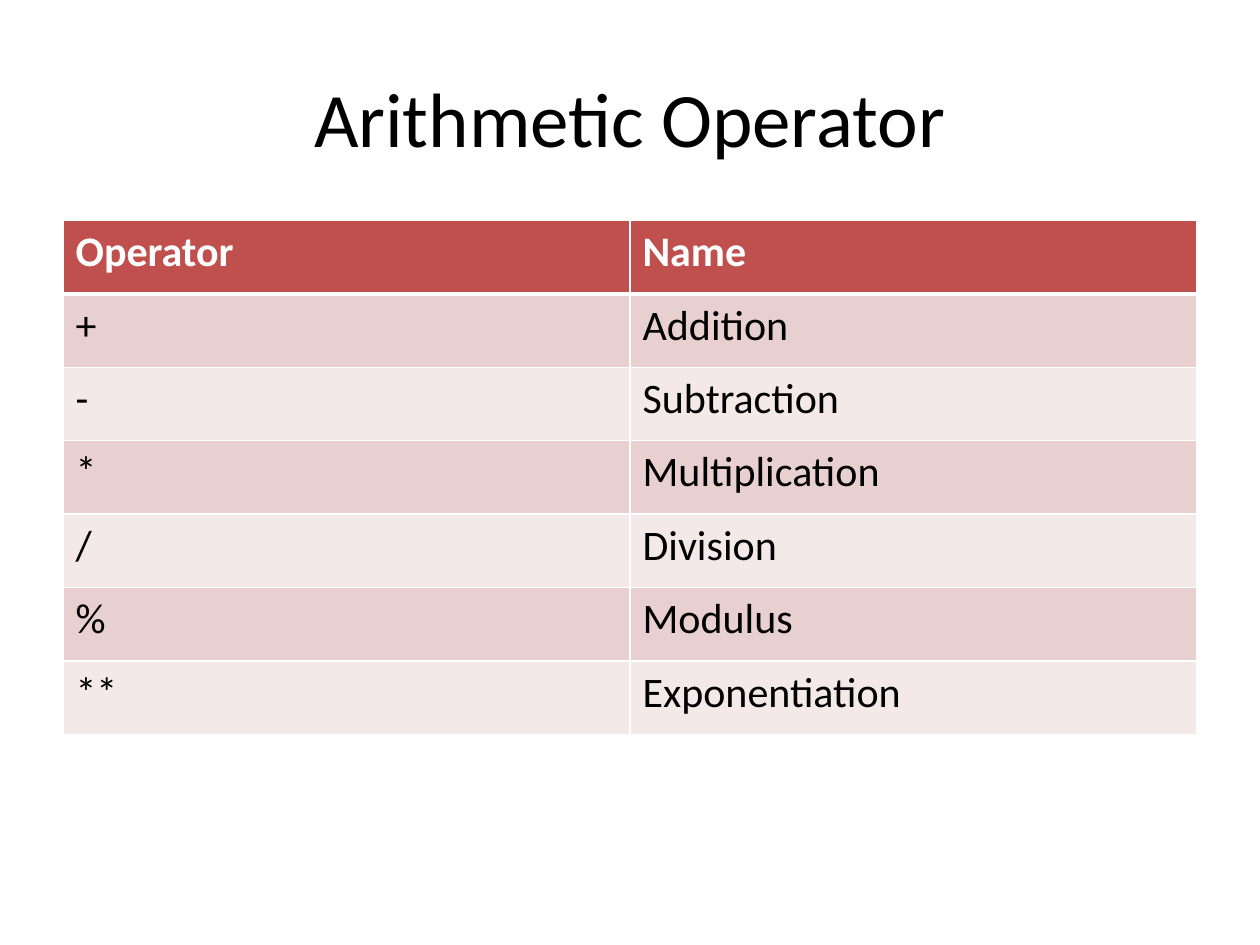
from dataclasses import dataclass

from lxml.etree import SubElement
from pptx import Presentation
from pptx.dml.color import RGBColor
from pptx.enum.text import MSO_ANCHOR, PP_ALIGN
from pptx.oxml.ns import qn
from pptx.util import Inches, Pt


@dataclass(frozen=True)
class Theme:
    font: str = "Calibri"
    title_size: int = 44
    cell_size: int = 24
    text: str = "000000"
    header_text: str = "FFFFFF"
    header_fill: str = "C0504D"
    bands: tuple[str, str] = ("E8D0D0", "F4E9E9")
    border: str = "FFFFFF"
    thin: int = 1
    thick: int = 3


@dataclass(frozen=True)
class Operator:
    symbol: str
    name: str


THEME = Theme()
HEADER = Operator("Operator", "Name")
OPERATORS = [
    Operator("+", "Addition"),
    Operator("-", "Subtraction"),
    Operator("*", "Multiplication"),
    Operator("/", "Division"),
    Operator("%", "Modulus"),
    Operator("**", "Exponentiation"),
]


def add_run(p, text: str, size: int, color: str, bold: bool = False) -> None:
    r = p.add_run()
    r.text = text
    r.font.name = THEME.font
    r.font.size = Pt(size)
    r.font.bold = bold
    r.font.color.rgb = RGBColor.from_string(color)


def add_title(s, text: str) -> None:
    sp = s.shapes.add_textbox(Inches(0.5), Inches(0.3), Inches(9), Inches(1.25))
    tf = sp.text_frame
    tf.word_wrap = True
    tf.vertical_anchor = MSO_ANCHOR.MIDDLE
    p = tf.paragraphs[0]
    p.alignment = PP_ALIGN.CENTER
    add_run(p, text, THEME.title_size, THEME.text)


def set_borders(cell, top: int, bottom: int) -> None:
    tcPr = cell._tc.get_or_add_tcPr()
    widths = {"L": THEME.thin, "R": THEME.thin, "T": top, "B": bottom}
    for side, width in widths.items():
        ln = SubElement(tcPr, qn(f"a:ln{side}"), w=str(Pt(width)))
        fill = SubElement(ln, qn("a:solidFill"))
        SubElement(fill, qn("a:srgbClr"), val=THEME.border)


def add_operator_table(s, rows: list[Operator]) -> None:
    table = s.shapes.add_table(len(rows), 2, Inches(0.5), Inches(1.75),
                               Inches(9), Inches(4.08)).table
    for i, row in enumerate(rows):
        header = i == 0
        fill = THEME.header_fill if header else THEME.bands[(i - 1) % 2]
        color = THEME.header_text if header else THEME.text
        # A thick rule separates the header from the body
        top = THEME.thick if i == 1 else THEME.thin
        bottom = THEME.thick if header else THEME.thin
        for j, text in enumerate((row.symbol, row.name)):
            cell = table.cell(i, j)
            set_borders(cell, top, bottom)
            cell.fill.solid()
            cell.fill.fore_color.rgb = RGBColor.from_string(fill)
            add_run(cell.text_frame.paragraphs[0], text, THEME.cell_size,
                    color, bold=header)


def main() -> None:
    prs = Presentation()
    prs.slide_width, prs.slide_height = Inches(10), Inches(7.5)
    s = prs.slides.add_slide(prs.slide_layouts[6])

    # Heading
    add_title(s, "Arithmetic Operator")

    # Symbols and their names
    add_operator_table(s, [HEADER, *OPERATORS])

    prs.save("out.pptx")


if __name__ == "__main__":
    main()
